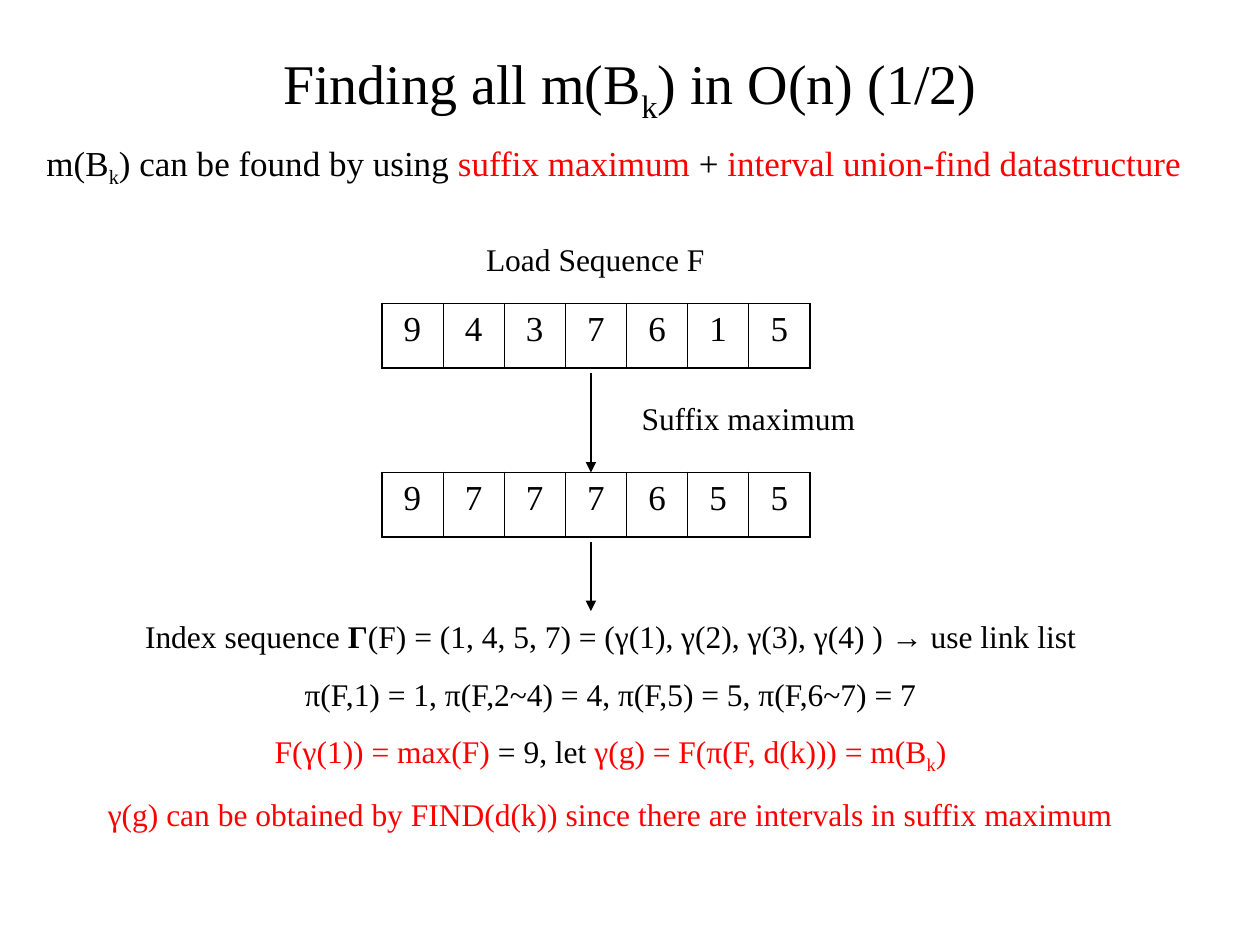
from dataclasses import dataclass

from lxml.etree import SubElement
from pptx import Presentation
from pptx.dml.color import RGBColor
from pptx.enum.shapes import MSO_CONNECTOR
from pptx.enum.text import MSO_ANCHOR, PP_ALIGN
from pptx.oxml.ns import qn
from pptx.util import Inches, Pt


@dataclass(frozen=True)
class Theme:
    ink: str = "000000"
    accent: str = "FF0000"
    font: str = "Times New Roman"
    symbol_font: str = "Arial"
    title: int = 32
    lead: int = 20
    body: int = 18
    outer_border: float = 1.08
    inner_border: float = 0.45
    arrow: float = 1.5


THEME = Theme()
RED = {"color": THEME.accent}
SUB = {"subscript": True}


def write_text(frame, paragraphs, size=THEME.body, align=PP_ALIGN.CENTER,
               anchor=MSO_ANCHOR.TOP, space_before=0):
    """Fill a frame; each paragraph is a list of (text, run format) pairs."""
    frame.word_wrap = True
    frame.vertical_anchor = anchor
    for index, runs in enumerate(paragraphs):
        paragraph = frame.paragraphs[0] if index == 0 else frame.add_paragraph()
        paragraph.alignment = align
        if index:
            paragraph.space_before = Pt(space_before)
        for text, style in runs:
            run = paragraph.add_run()
            run.text = text
            run.font.size = Pt(size)
            run.font.name = style.get("font", THEME.font)
            run.font.bold = style.get("bold", False)
            run.font.color.rgb = RGBColor.from_string(style.get("color", THEME.ink))
            if style.get("subscript"):
                run._r.get_or_add_rPr().set("baseline", "-25000")


def add_text(slide, box, paragraphs, **text_format):
    textbox = slide.shapes.add_textbox(*map(Inches, box))
    write_text(textbox.text_frame, paragraphs, **text_format)


def set_border(cell, side, width):
    line = SubElement(cell._tc.get_or_add_tcPr(), qn(f"a:ln{side}"), w=str(Pt(width)))
    fill = SubElement(line, qn("a:solidFill"))
    SubElement(fill, qn("a:srgbClr"), val=THEME.ink)


def add_sequence(slide, box, values):
    """Draw the values as a one-row table with a heavier outer frame."""
    table = slide.shapes.add_table(1, len(values), *map(Inches, box)).table
    table.first_row = table.horz_banding = False
    table.rows[0].height = Inches(box[3])
    last = len(values) - 1
    for index, value in enumerate(values):
        table.columns[index].width = Inches(box[2] / len(values))
        cell = table.cell(0, index)
        outer_sides = {"T", "B"} | ({"L"} if index == 0 else set())
        outer_sides |= {"R"} if index == last else set()
        for side in "LRTB":
            outer = side in outer_sides
            set_border(cell, side, THEME.outer_border if outer else THEME.inner_border)
        cell.fill.background()
        write_text(cell.text_frame, [[(str(value), {})]], size=THEME.lead)


def add_down_arrow(slide, x, top, bottom):
    arrow = slide.shapes.add_connector(
        MSO_CONNECTOR.STRAIGHT, Inches(x), Inches(top), Inches(x), Inches(bottom))
    arrow.line.color.rgb = RGBColor.from_string(THEME.ink)
    arrow.line.width = Pt(THEME.arrow)
    SubElement(arrow.line._get_or_add_ln(), qn("a:tailEnd"), type="triangle")
    SubElement(arrow._element.spPr, qn("a:effectLst"))


def add_heading(slide, box):
    left, top, width, height = box
    add_text(slide, (left + 0.23, top, 9, 0.77),
             [[("Finding all m(B", {}), ("k", SUB), (") in O(n) (1/2)", {})]],
             size=THEME.title, anchor=MSO_ANCHOR.MIDDLE)
    add_text(slide, (left, top + 0.77, width, height - 0.77),
             [[("m(B", {}), ("k", SUB), (") can be found by using ", {}),
               ("suffix maximum", RED), (" + ", {}),
               ("interval union-find datastructure", RED)]],
             size=THEME.lead, align=PP_ALIGN.LEFT)


def add_suffix_diagram(slide, box):
    left, top, width, height = box
    row_height = 0.51
    load_top, suffix_top = top + 0.55, top + 1.89
    arrow_x = left + 1.66
    add_text(slide, (left + 0.24, top, 2.91, 0.4), [[("Load Sequence F", {})]])
    add_sequence(slide, (left, load_top, width, row_height), [9, 4, 3, 7, 6, 1, 5])
    add_down_arrow(slide, arrow_x, load_top + row_height + 0.04, suffix_top)
    add_text(slide, (left + 1.81, top + 1.26, 2.2, 0.4), [[("Suffix maximum", {})]])
    add_sequence(slide, (left, suffix_top, width, row_height), [9, 7, 7, 7, 6, 5, 5])
    add_down_arrow(slide, arrow_x, suffix_top + row_height + 0.04, top + height)


def add_conclusions(slide, box):
    add_text(slide, box, [
        [("Index sequence ", {}), ("Γ", {"bold": True}),
         ("(F) = (1, 4, 5, 7) = (γ(1), γ(2), γ(3), γ(4) ) ", {}),
         ("→", {"font": THEME.symbol_font}), (" use link list", {})],
        [("π(F,1) = 1, π(F,2~4) = 4, π(F,5) = 5, π(F,6~7) = 7", {})],
        [("F(γ(1)) = max(F)", RED), (" = 9, let ", {}),
         ("γ(g) = F(π(F, d(k))) = m(B", RED), ("k", RED | SUB), (")", RED)],
        [("γ(g) can be obtained by FIND(d(k)) since there are intervals "
          "in suffix maximum", RED)],
    ], space_before=11.2)


def main():
    presentation = Presentation()
    presentation.slide_width = Inches(10)
    presentation.slide_height = Inches(7.5)
    slide = presentation.slides.add_slide(presentation.slide_layouts[6])
    add_heading(slide, (0.27, 0.3, 9.45, 1.25))
    add_suffix_diagram(slide, (3.03, 1.86, 3.4, 2.99))
    add_conclusions(slide, (0.67, 4.85, 8.35, 1.81))
    presentation.save("out.pptx")


if __name__ == "__main__":
    main()
